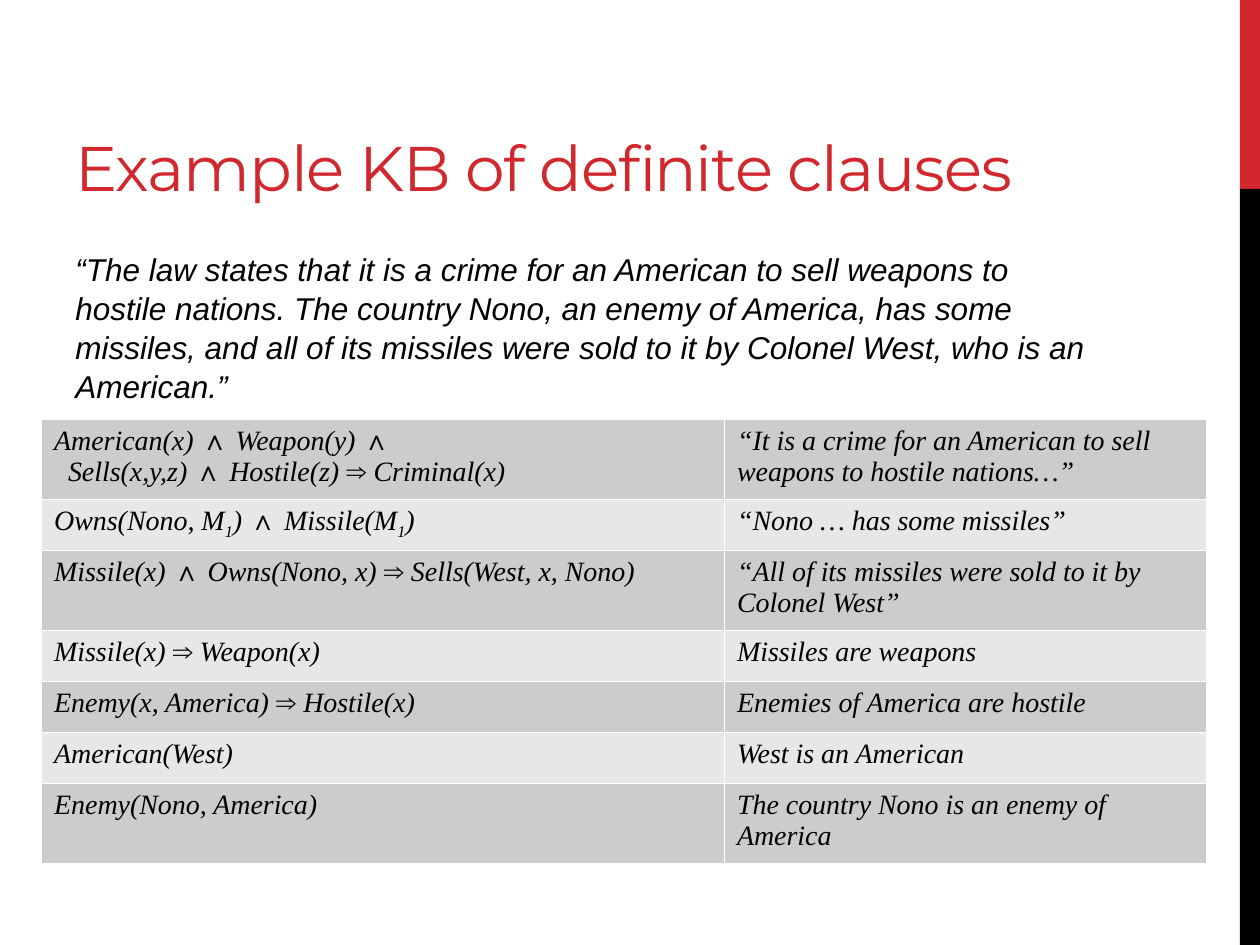
from itertools import groupby

from pptx import Presentation
from pptx.dml.color import RGBColor
from pptx.enum.shapes import MSO_SHAPE
from pptx.enum.text import MSO_ANCHOR
from pptx.util import Inches, Pt

RECTANGLE = MSO_SHAPE.RECTANGLE
BOTTOM, TOP = MSO_ANCHOR.BOTTOM, MSO_ANCHOR.TOP

COLORS = {"red": "D1282E", "black": "000000", "dark row": "CCCCCC", "light row": "E7E7E7"}

TITLE = "Example KB of definite clauses"
STORY = (
    "“The law states that it is a crime for an American to sell weapons to hostile nations. "
    "The country Nono, an enemy of America, has some missiles, and all of its missiles were "
    "sold to it by Colonel West, who is an American.”"
)
# Each clause is a list of lines; ₁ is set as a lowered 1.
CLAUSES = [
    (["American(x) ∧ Weapon(y) ∧", "Sells(x,y,z) ∧ Hostile(z) ⇒ Criminal(x)"],
     "“It is a crime for an American to sell weapons to hostile nations…”"),
    (["Owns(Nono, M₁) ∧ Missile(M₁)"], "“Nono … has some missiles”"),
    (["Missile(x) ∧ Owns(Nono, x) ⇒ Sells(West, x, Nono)"],
     "“All of its missiles were sold to it by Colonel West”"),
    (["Missile(x) ⇒ Weapon(x)"], "Missiles are weapons"),
    (["Enemy(x, America) ⇒ Hostile(x)"], "Enemies of America are hostile"),
    (["American(West)"], "West is an American"),
    (["Enemy(Nono, America)"], "The country Nono is an enemy of America"),
]
SIDE_BARS = [("red", 0, 1.5), ("black", 1.5, 6)]
COLUMN_WIDTHS = [5.42, 3.83]


def color(name):
    return RGBColor.from_string(COLORS[name])


def style(span, font, size, color_name, italic=False):
    span.font.name = font
    span.font.size = Pt(size)
    span.font.color.rgb = color(color_name)
    span.font.italic = italic


def add_text(slide, text, left, top, width, height, anchor):
    box = slide.shapes.add_textbox(*map(Inches, (left, top, width, height)))
    frame = box.text_frame
    frame.word_wrap = True
    frame.vertical_anchor = anchor
    frame.text = text
    para = frame.paragraphs[0]
    return para, para.runs[0]


def symbol_kind(char):
    return char if char in "∧⇒₁" else "letters"


def write_logic(para, text):
    """Set words in italics, operators upright and index digits lowered."""
    for kind, chars in groupby(text, symbol_kind):
        span = para.add_run()
        span.text = "".join(chars).replace("₁", "1")
        style(span, "Times New Roman", 16, "black", italic=kind not in "∧⇒")
        if kind == "₁":
            span.font._element.set("baseline", "-25000")


def fill_cell(cell, lines, fill):
    cell.fill.solid()
    cell.fill.fore_color.rgb = color(fill)
    for index, line in enumerate(lines):
        frame = cell.text_frame
        para = frame.add_paragraph() if index else frame.paragraphs[0]
        if index:
            para._p.get_or_add_pPr().set("marL", str(Inches(0.11)))
        write_logic(para, line)


def add_clause_table(slide):
    shape = slide.shapes.add_table(
        len(CLAUSES), len(COLUMN_WIDTHS),
        Inches(0.33), Inches(3.33), Inches(sum(COLUMN_WIDTHS)), Inches(2.84))
    table = shape.table
    table.first_row = False
    table.horz_banding = False
    for column, width in zip(table.columns, COLUMN_WIDTHS):
        column.width = Inches(width)
    for row, (clause, meaning) in enumerate(CLAUSES):
        fill = "light row" if row % 2 else "dark row"
        fill_cell(table.cell(row, 0), clause, fill)
        fill_cell(table.cell(row, 1), [meaning], fill)


def main():
    deck = Presentation()
    deck.slide_width, deck.slide_height = Inches(10), Inches(7.5)
    slide = deck.slides.add_slide(deck.slide_layouts[6])

    for name, top, height in SIDE_BARS:
        bar = slide.shapes.add_shape(
            RECTANGLE, Inches(9.84), Inches(top), Inches(0.16), Inches(height))
        bar.shadow.inherit = False
        bar.fill.solid()
        bar.fill.fore_color.rgb = color(name)
        bar.line.fill.background()

    para, span = add_text(slide, TITLE, 0.5, 0.17, 9.08, 1.5, BOTTOM)
    style(span, "Montserrat", 36, "red")
    span.font._element.set("spc", "-60")

    para, span = add_text(slide, STORY, 0.5, 1.92, 8.33, 2, TOP)
    style(span, "Arial", 18, "black", italic=True)
    para.line_spacing = 1.04
    para.space_after = Pt(6)

    add_clause_table(slide)
    deck.save("out.pptx")


if __name__ == "__main__":
    main()
